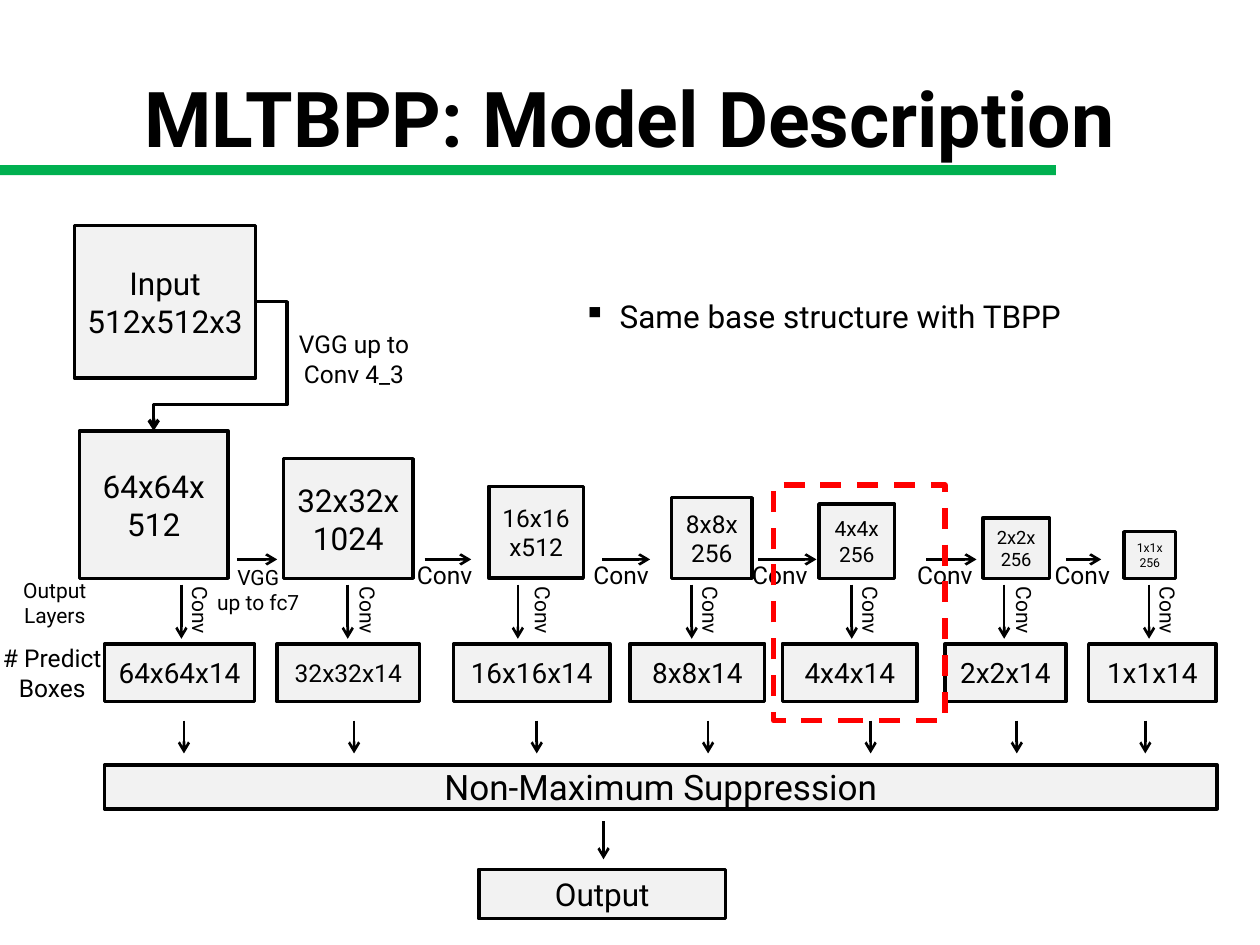
from typing import Any, NamedTuple, Optional

from lxml.etree import SubElement as Sub
from pptx import Presentation
from pptx.dml.color import RGBColor as Rgb
from pptx.enum.dml import MSO_LINE_DASH_STYLE as Dash
from pptx.enum.shapes import MSO_CONNECTOR as Link, MSO_SHAPE as Kind
from pptx.enum.text import MSO_ANCHOR as Anchor, PP_ALIGN as Align
from pptx.oxml.ns import qn
from pptx.util import Inches, Pt

HUES = {"ink": "000000", "box": "F2F2F2", "mark": "FF0000", "bar": "00B050"}
FONT = "Roboto"
BASE = 4.59
FLOW = 4.44


class Rect(NamedTuple):
    x: float
    y: float
    w: float
    h: float


class Stage(NamedTuple):
    x: float
    w: float
    h: float
    text: str
    size: float
    down: float
    turn: float
    out_x: float
    out_w: float
    out: str
    out_size: float
    feed: float


class Hop(NamedTuple):
    start: float
    end: float
    note: Rect
    text: str
    size: float


class Note(NamedTuple):
    rect: Rect
    text: str
    size: float


def conv(start: float, end: float, left: float) -> Hop:
    return Hop(start, end, Rect(left, 4.38, 0.96, 0.36), "Conv", 14)


STAGES = [
    Stage(0.63, 1.18, 1.17, "64x64x\n512", 18, 1.44, 1.21, 0.83, 1.19, "64x64x14", 16, 1.46),
    Stage(2.25, 1.03, 0.95, "32x32x\n1024", 18, 2.76, 2.54, 2.2, 1.13, "32x32x14", 14, 2.81),
    Stage(3.88, 0.75, 0.73, "16x16x512", 14, 4.11, 3.93, 3.6, 1.24, "16x16x14", 16, 4.26),
    Stage(5.33, 0.64, 0.64, "8x8x\n256", 14, 5.49, 5.26, 5, 1.07, "8x8x14", 16, 5.62),
    Stage(6.5, 0.6, 0.59, "4x4x\n256", 12, 6.76, 6.53, 6.21, 1.07, "4x4x14", 16, 6.91),
    Stage(7.8, 0.53, 0.48, "2x2x\n256", 10.5, 7.97, 7.75, 7.5, 0.96, "2x2x14", 16, 8.07),
    Stage(8.92, 0.41, 0.37, "1x1x256", 7, 9.12, 8.89, 8.64, 1.01, "1x1x14", 16, 9.09),
]
HOPS = [
    Hop(1.88, 2.2, Rect(1.42, 4.5, 1.26, 0.36), "VGG\nup to fc7", 12),
    conv(3.37, 3.74, 3.05),
    conv(4.78, 5.16, 4.45),
    conv(6.02, 6.48, 5.71),
    conv(7.35, 7.75, 7.02),
    conv(8.46, 8.74, 8.11),
]
NOTES = [
    Note(Rect(2.07, 2.49, 1.48, 0.71), "VGG up to Conv 4_3", 14),
    Note(Rect(-0.13, 4.59, 1.13, 0.39), "Output\nLayers", 12),
    Note(Rect(-0.12, 5.11, 1.07, 0.46), "# Predict Boxes", 14),
]


def hue(name: str) -> Rgb:
    return Rgb.from_string(HUES[name])


def span(rect: Rect) -> list:
    return [Inches(v) for v in rect]


def write(shape: Any, text: str, size: float, bold: bool = False,
          align: Align = Align.CENTER, anchor: Anchor = Anchor.MIDDLE) -> None:
    frame = shape.text_frame
    frame.text = text
    frame.word_wrap = True
    frame.vertical_anchor = anchor
    form = {"name": FONT, "size": Pt(size), "bold": bold}
    for para in frame.paragraphs:
        para.alignment = align
        for run in para.runs:
            for key, value in form.items():
                setattr(run.font, key, value)
            run.font.color.rgb = hue("ink")


def block(slide: Any, rect: Rect, fill: Optional[str] = "box",
          edge: Optional[str] = "ink", width: float = 2) -> Any:
    shape = slide.shapes.add_shape(Kind.RECTANGLE, *span(rect))
    shape.shadow.inherit = False
    if fill:
        shape.fill.solid()
        shape.fill.fore_color.rgb = hue(fill)
    else:
        shape.fill.background()
    if edge:
        shape.line.color.rgb = hue(edge)
        shape.line.width = Pt(width)
    else:
        shape.line.fill.background()
    return shape


def box(slide: Any, rect: Rect, text: str, size: float) -> Any:
    shape = block(slide, rect)
    write(shape, text, size)
    return shape


def label(slide: Any, rect: Rect, text: str, size: float, turn: float = 0) -> None:
    shape = slide.shapes.add_textbox(*span(rect))
    shape.rotation = turn
    write(shape, text, size)


def arrow(slide: Any, x: float, y: float, to_x: float, to_y: float,
          width: float = 1.5, kind: Link = Link.STRAIGHT) -> Any:
    line = slide.shapes.add_connector(kind, *span(Rect(x, y, to_x, to_y)))
    line.line.color.rgb = hue("ink")
    line.line.width = Pt(width)
    Sub(line.line._get_or_add_ln(), qn("a:tailEnd"), type="arrow")
    Sub(line._element.spPr, qn("a:effectLst"))
    return line


def elbow(slide: Any, first: Any, last: Any) -> None:
    line = arrow(slide, 2.03, 2.4, 1.22, 3.42, 2, Link.ELBOW)
    line.begin_connect(first, 3)
    line.end_connect(last, 0)
    geom = line._element.spPr.find(qn("a:prstGeom"))
    geom.set("prst", "bentConnector4")
    for old in list(geom):
        geom.remove(old)
    bends = Sub(geom, qn("a:avLst"))
    for name, value in {"adj1": -30700, "adj2": 79600}.items():
        Sub(bends, qn("a:gd"), name=name, fmla=f"val {value}")


def point(slide: Any, rect: Rect, text: str, size: float) -> None:
    shape = slide.shapes.add_textbox(*span(rect))
    write(shape, text, size, align=Align.LEFT, anchor=Anchor.TOP)
    props = shape.text_frame.paragraphs[0]._p.get_or_add_pPr()
    props.set("marL", str(Inches(0.29)))
    props.set("indent", str(-Inches(0.29)))
    Sub(props, qn("a:buChar"), char="▪")


def main() -> None:
    deck = Presentation()
    deck.slide_width, deck.slide_height = Inches(10), Inches(7.5)
    slide = deck.slides.add_slide(deck.slide_layouts[5])
    title = slide.shapes.title
    spot = zip(("left", "top", "width", "height"), span(Rect(0.5, 0.3, 9, 1.25)))
    for key, value in spot:
        setattr(title, key, value)
    write(title, "MLTBPP: Model Description", 44, bold=True)

    start = box(slide, Rect(0.59, 1.79, 1.44, 1.21), "Input\n512x512x3", 18)
    maps = [box(slide, Rect(s.x, BASE - s.h, s.w, s.h), s.text, s.size) for s in STAGES]
    elbow(slide, start, maps[0])
    for hop in HOPS:
        arrow(slide, hop.start, FLOW, hop.end, FLOW)
        label(slide, hop.note, hop.text, hop.size)
    for s in STAGES:
        arrow(slide, s.down, 4.64, s.down, 5.07)
        label(slide, Rect(s.turn, 4.63, 0.76, 0.43), "Conv", 12, 90)
        box(slide, Rect(s.out_x, 5.11, s.out_w, 0.46), s.out, s.out_size)
        arrow(slide, s.feed, 5.72, s.feed, 5.98)
    for note in NOTES:
        label(slide, *note)

    box(slide, Rect(0.83, 6.07, 8.83, 0.35), "Non-Maximum Suppression", 20)
    arrow(slide, 4.79, 6.52, 4.79, 6.82)
    box(slide, Rect(3.8, 6.9, 1.96, 0.39), "Output", 18)
    point(slide, Rect(4.53, 2.31, 4.43, 0.55), "Same base structure with TBPP", 18)
    mark = block(slide, Rect(6.14, 3.85, 1.36, 1.87), None, "mark", 3)
    mark.line.dash_style = Dash.DASH
    block(slide, Rect(-0.12, 1.31, 8.5, 0.08), "bar", None)
    deck.save("out.pptx")


if __name__ == "__main__":
    main()
